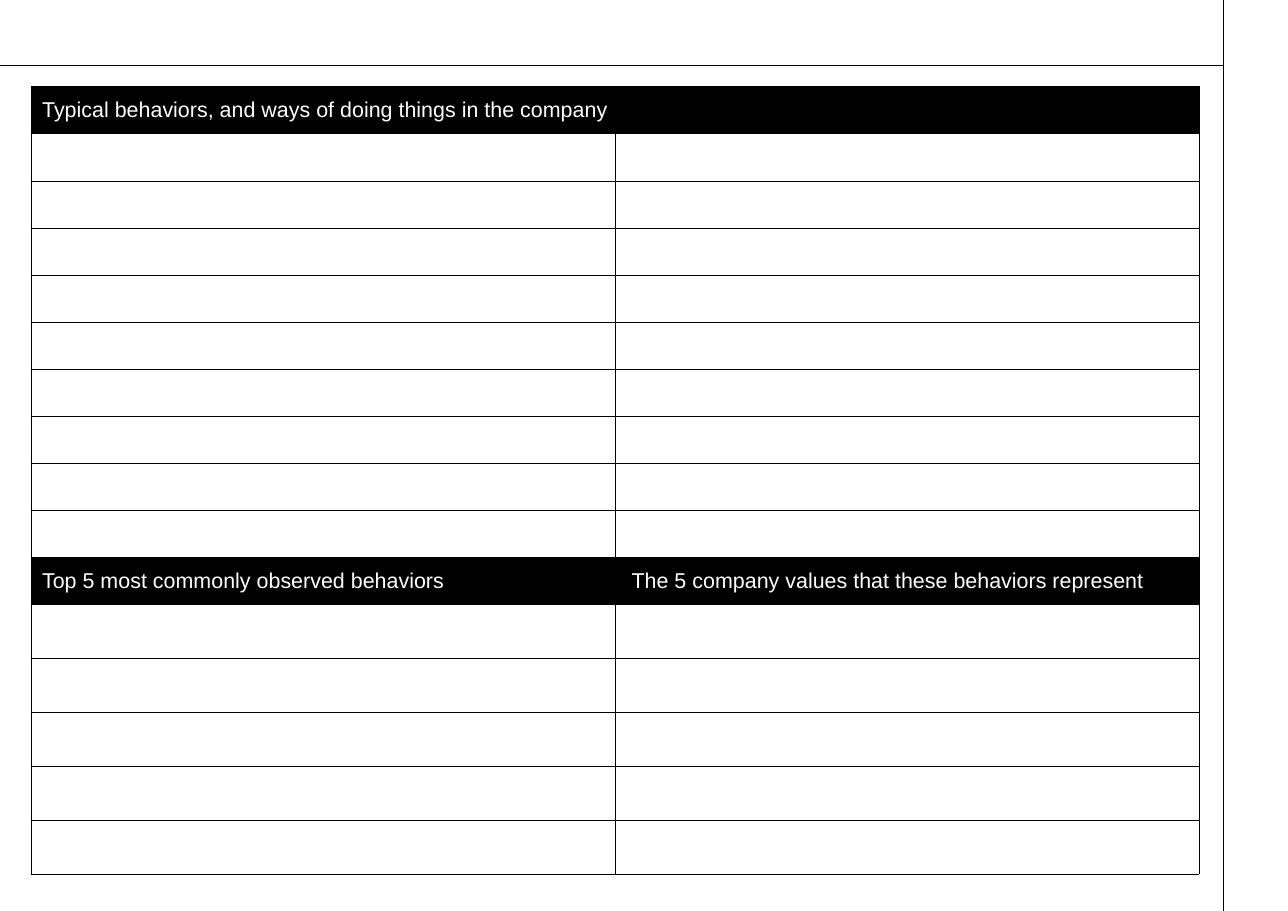
from dataclasses import dataclass

from lxml.etree import SubElement
from pptx import Presentation
from pptx.dml.color import RGBColor
from pptx.enum.shapes import MSO_CONNECTOR
from pptx.enum.text import MSO_ANCHOR
from pptx.oxml.ns import qn
from pptx.util import Pt


@dataclass(frozen=True)
class Theme:
    """Colours, type and line width of the slide."""

    ink: str = "000000"
    paper: str = "FFFFFF"
    font: str = "Arial"
    size: float = 14
    rule: float = 0.5


THEME = Theme()
WIDTH, HEIGHT = 841.68, 595.44
RIGHT, TOP = 799.2, 42.7
LEFT, HEAD = 20.3, 56.7
COL = 381.6
ROW, TALL = 30.8, 35.2
ROWS = [ROW] * 11 + [TALL] * 5
TITLES = {
    (0, 0): "Typical behaviors, and ways of doing things in the company",
    (10, 0): "Top 5 most commonly observed behaviors",
    (10, 1): " The 5 company values that these behaviors represent",
}


def add_rule(slide, x1, y1, x2, y2):
    """Draw a thin straight line without a shadow."""
    ends = [Pt(n) for n in (x1, y1, x2, y2)]
    rule = slide.shapes.add_connector(MSO_CONNECTOR.STRAIGHT, *ends)
    rule.line.color.rgb = RGBColor.from_string(THEME.ink)
    rule.line.width = Pt(THEME.rule)
    SubElement(rule._element.spPr, qn("a:effectLst"))


def set_edges(cell):
    """Give a cell a thin border on all four sides."""
    props = cell._tc.get_or_add_tcPr()
    for side in "LRTB":
        edge = SubElement(props, qn(f"a:ln{side}"), w=str(Pt(THEME.rule)))
        fill = SubElement(edge, qn("a:solidFill"))
        SubElement(fill, qn("a:srgbClr"), val=THEME.ink)


def set_title(cell, text):
    """Turn a cell into a dark heading with light text."""
    cell.fill.solid()
    cell.fill.fore_color.rgb = RGBColor.from_string(THEME.ink)
    cell.vertical_anchor = MSO_ANCHOR.MIDDLE
    cell.text_frame.text = text
    font = cell.text_frame.paragraphs[0].runs[0].font
    font.name = THEME.font
    font.size = Pt(THEME.size)
    font.color.rgb = RGBColor.from_string(THEME.paper)


def add_form(slide):
    """Add the two-column form with its heading rows."""
    box = [Pt(n) for n in (LEFT, HEAD, 2 * COL, sum(ROWS))]
    table = slide.shapes.add_table(len(ROWS), 2, *box).table
    table.first_row = table.horz_banding = False
    for col in table.columns:
        col.width = Pt(COL)
    for row, tall in zip(table.rows, ROWS):
        row.height = Pt(tall)
    table.cell(0, 0).merge(table.cell(0, 1))
    for r, row in enumerate(table.rows):
        for c, cell in enumerate(row.cells):
            set_edges(cell)
            if (r, c) in TITLES:
                set_title(cell, TITLES[r, c])
            else:
                cell.fill.background()


def main():
    """Build the slide and save it."""
    deck = Presentation()
    deck.slide_width, deck.slide_height = Pt(WIDTH), Pt(HEIGHT)
    slide = deck.slides.add_slide(deck.slide_layouts[6])
    add_rule(slide, RIGHT, TOP, 0, TOP)
    add_rule(slide, RIGHT, HEIGHT, RIGHT, 0)
    add_form(slide)
    deck.save("out.pptx")


if __name__ == "__main__":
    main()
